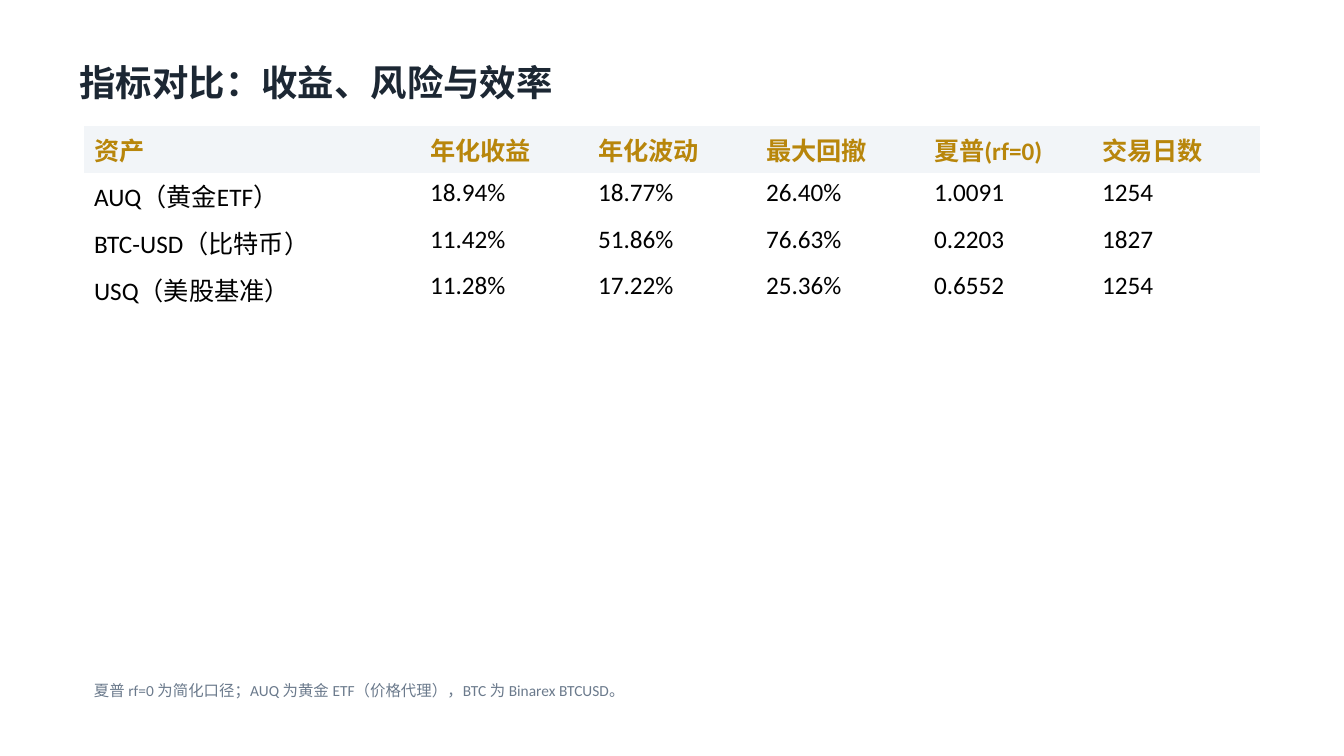
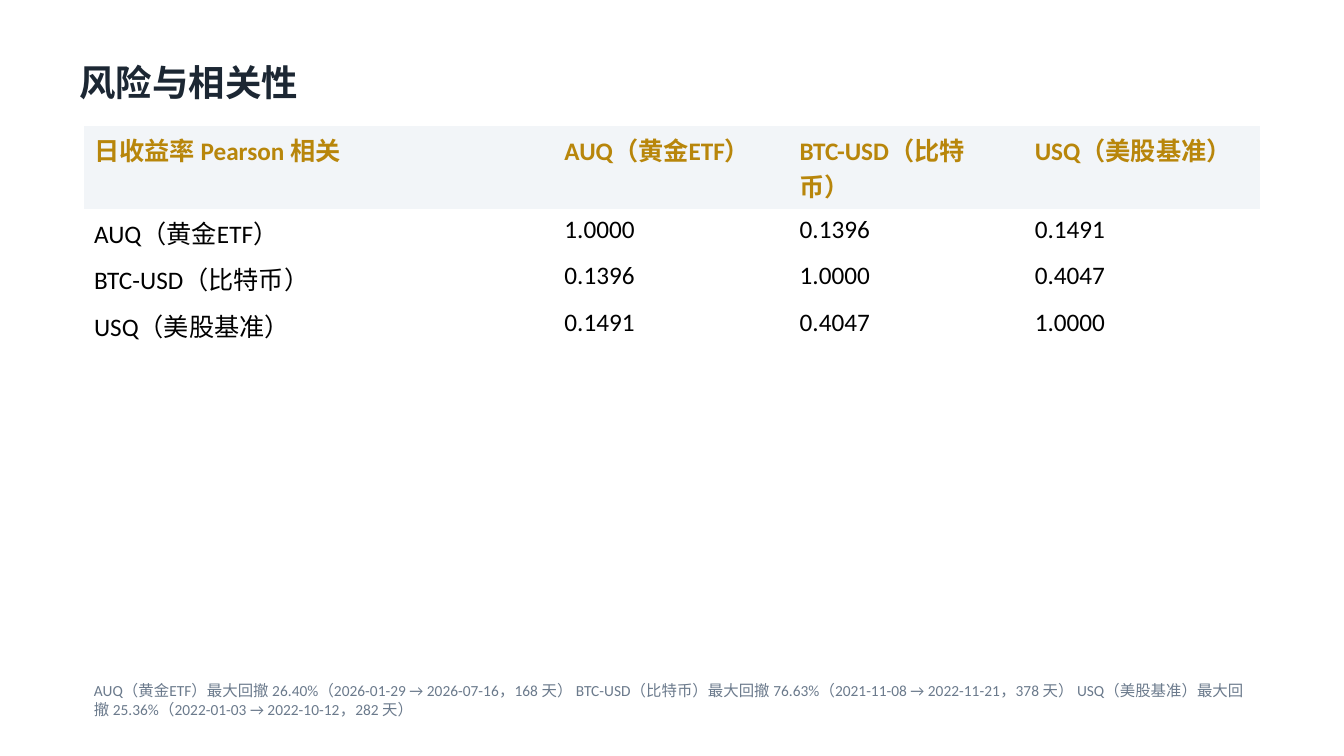
from pptx import Presentation
from pptx.dml.color import RGBColor
from pptx.enum.text import MSO_ANCHOR, MSO_AUTO_SIZE, PP_ALIGN
from pptx.util import Emu, Pt

PX = 9525
FONT = "Calibri"
INK = "1C2733"
GOLD = "B8860B"
BLACK = "000000"
GREY = "6B7A8C"
BAND = "F2F5F8"
WHITE = "FFFFFF"
PLAIN_STYLE = "{2D5ABB26-0587-4C30-8999-92F81FD0307C}"

TITLE_BOX = (66, 37, 1146, 72)
TABLE_BOX = (80, 120, 1120, 108)
NOTE_BOX = (80, 627, 1120, 66)

GOLD_FUND = "AUQ（黄金ETF）"
BITCOIN = "BTC-USD（比特币）"
US_STOCKS = "USQ（美股基准）"

PAGES = [
    {
        "title": "指标对比：收益、风险与效率",
        "weights": [2, 1, 1, 1, 1, 1],
        "rows": [
            ["资产", "年化收益", "年化波动", "最大回撤", "夏普(rf=0)", "交易日数"],
            [GOLD_FUND, "18.94%", "18.77%", "26.40%", "1.0091", "1254"],
            [BITCOIN, "11.42%", "51.86%", "76.63%", "0.2203", "1827"],
            [US_STOCKS, "11.28%", "17.22%", "25.36%", "0.6552", "1254"],
        ],
        "note": "夏普 rf=0 为简化口径；AUQ 为黄金 ETF（价格代理），BTC 为 Binarex BTCUSD。",
    },
    {
        "title": "风险与相关性",
        "weights": [2, 1, 1, 1],
        "rows": [
            ["日收益率 Pearson 相关", GOLD_FUND, BITCOIN, US_STOCKS],
            [GOLD_FUND, "1.0000", "0.1396", "0.1491"],
            [BITCOIN, "0.1396", "1.0000", "0.4047"],
            [US_STOCKS, "0.1491", "0.4047", "1.0000"],
        ],
        "note": " ".join([
            f"{GOLD_FUND}最大回撤 26.40%（2026-01-29 → 2026-07-16，168 天）",
            f"{BITCOIN}最大回撤 76.63%（2021-11-08 → 2022-11-21，378 天）",
            f"{US_STOCKS}最大回撤 25.36%（2022-01-03 → 2022-10-12，282 天）",
        ]),
    },
]


def px(length):
    return Emu(length * PX)


def color(value):
    return RGBColor.from_string(value)


def write(frame, text, size, ink, bold=False):
    frame.text = text
    for paragraph in frame.paragraphs:
        paragraph.alignment = PP_ALIGN.LEFT
        for run in paragraph.runs:
            run.font.name = FONT
            run.font.size = Pt(size)
            run.font.bold = bold
            run.font.color.rgb = color(ink)


def set_frame(frame, top_inset):
    frame.word_wrap = True
    frame.auto_size = MSO_AUTO_SIZE.NONE
    frame.vertical_anchor = MSO_ANCHOR.TOP
    frame.margin_top = px(top_inset)
    frame.margin_bottom = 0


def place_title(slide, box, text):
    title = slide.shapes.title
    title.left, title.top, title.width, title.height = map(px, box)
    set_frame(title.text_frame, 20)
    write(title.text_frame, text, 26, INK, bold=True)


def place_note(slide, box, text):
    note = slide.shapes.add_textbox(*map(px, box))
    set_frame(note.text_frame, 22)
    write(note.text_frame, text, 11, GREY)


def place_table(slide, box, rows, weights):
    holder = slide.shapes.add_table(len(rows), len(weights), *map(px, box))
    for style in holder.element.iter("{*}tableStyleId"):
        style.text = PLAIN_STYLE
    table = holder.table
    table.horz_banding = False
    for column, weight in zip(table.columns, weights):
        column.width = px(box[2] * weight // sum(weights))
    for row_index, values in enumerate(rows):
        heading = row_index == 0
        for column_index, value in enumerate(values):
            cell = table.cell(row_index, column_index)
            if heading:
                cell.fill.solid()
                cell.fill.fore_color.rgb = color(BAND)
            else:
                cell.fill.background()
            write(cell.text_frame, value, 18, GOLD if heading else BLACK, heading)


def add_page(deck, page):
    slide = deck.slides.add_slide(deck.slide_layouts[5])
    place_title(slide, TITLE_BOX, page["title"])
    place_table(slide, TABLE_BOX, page["rows"], page["weights"])
    place_note(slide, NOTE_BOX, page["note"])


def main():
    deck = Presentation()
    deck.slide_width, deck.slide_height = px(1280), px(720)
    background = deck.slide_master.background.fill
    background.solid()
    background.fore_color.rgb = color(WHITE)
    for page in PAGES:
        add_page(deck, page)
    deck.save("out.pptx")


if __name__ == "__main__":
    main()
